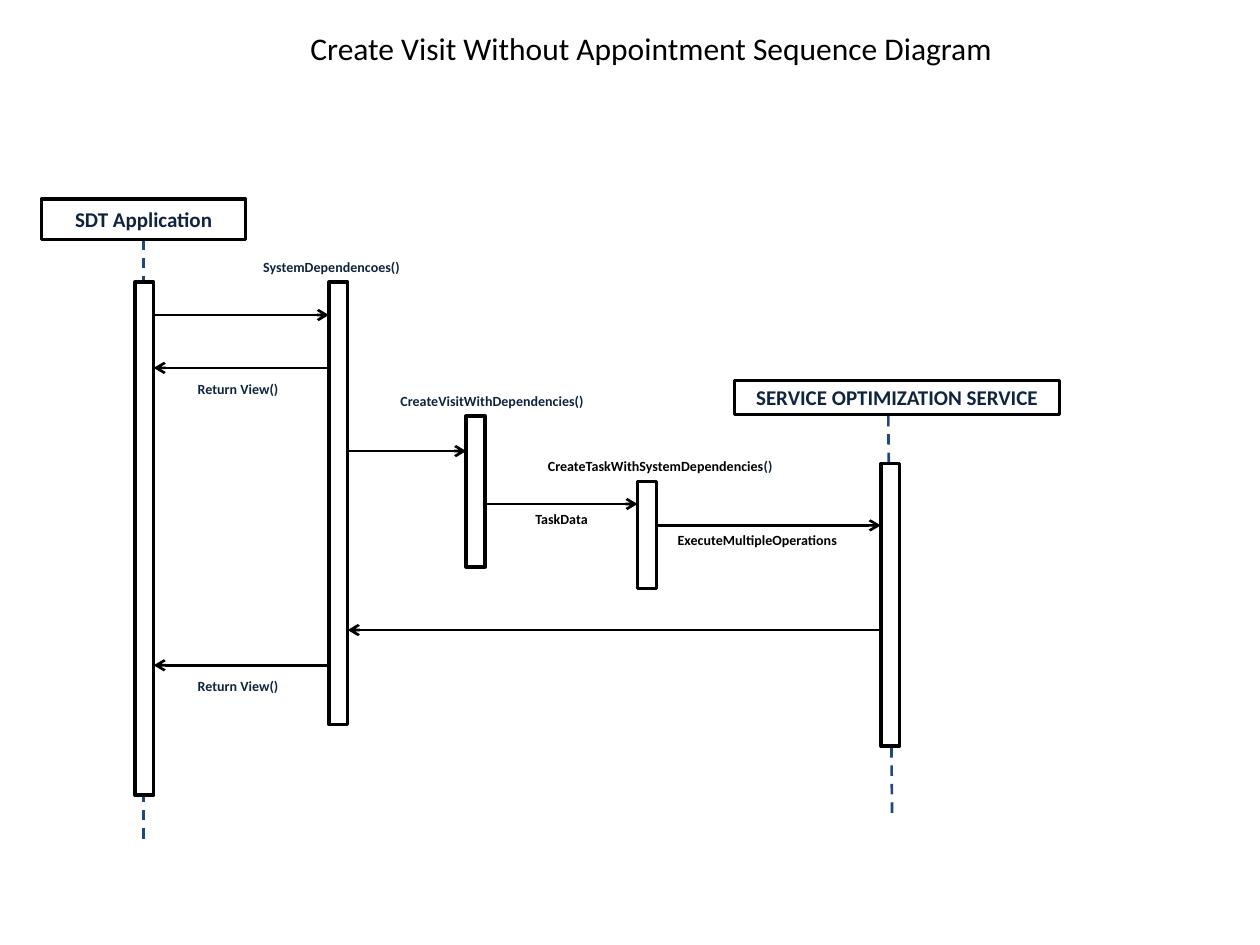
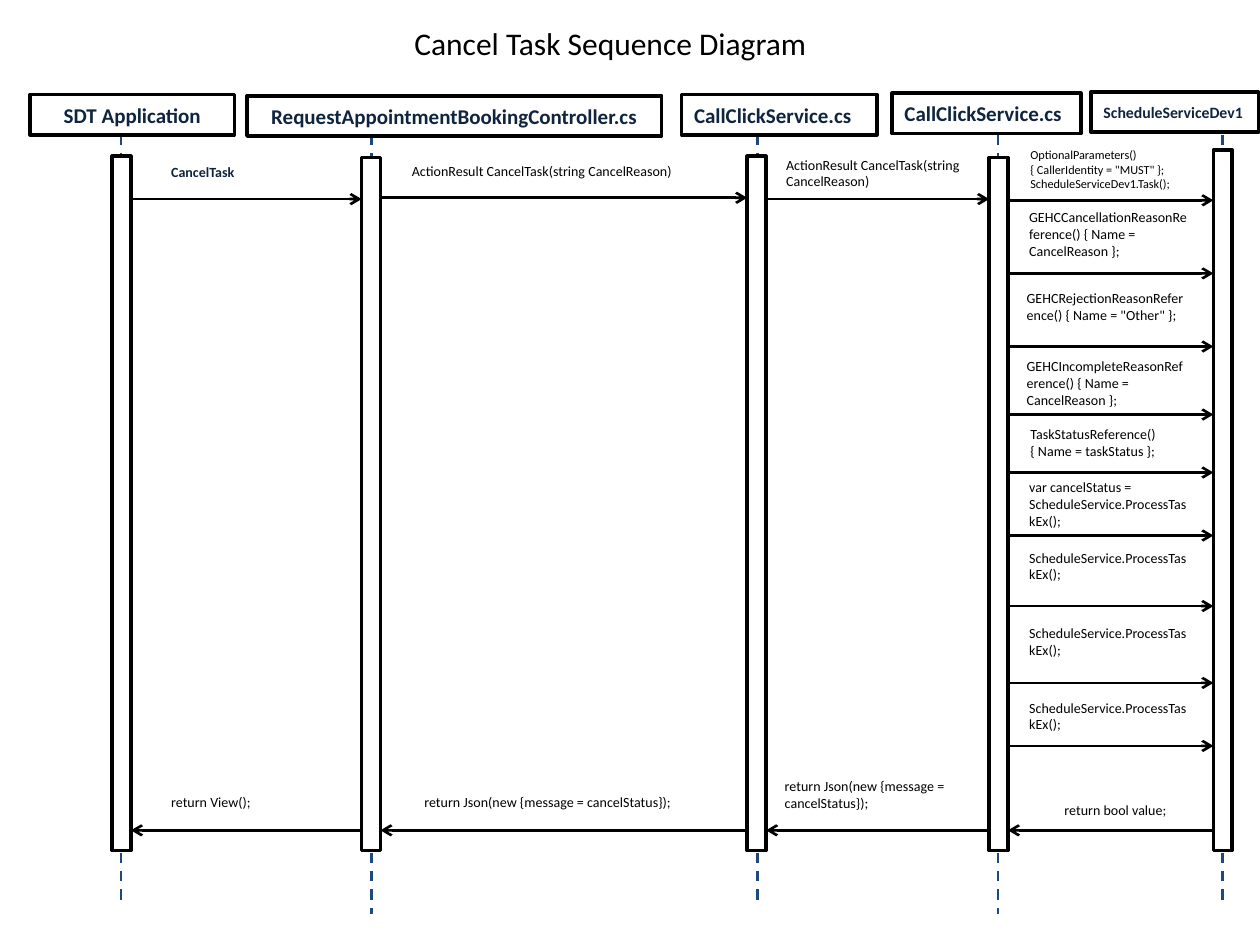
from pptx import Presentation
from pptx.dml.color import RGBColor
from pptx.enum.dml import MSO_LINE
from pptx.enum.shapes import MSO_CONNECTOR, MSO_SHAPE
from pptx.enum.text import MSO_ANCHOR, MSO_AUTO_SIZE, PP_ALIGN
from pptx.oxml.ns import qn
from pptx.util import Inches, Pt
from lxml.etree import SubElement

FONT = "Calibri"
COLORS = {"black": "000000", "white": "FFFFFF", "navy": "0F243E", "lifeline": "1F497D"}
STYLES = {
    "title": (18, "black", False),
    "header": (12, "navy", True),
    "small header": (9, "navy", True),
    "navy call": (8, "navy", True),
    "black call": (8, "black", True),
    "code": (8, "black", False),
    "small code": (7, "black", False),
}
BAR_WIDTH = 0.15
LEFT, CENTER = PP_ALIGN.LEFT, PP_ALIGN.CENTER


def add_run(paragraph, text, style):
    size, color, bold = STYLES[style]
    run = paragraph.add_run()
    run.text = text
    run.font.name = FONT
    run.font.size = Pt(size)
    run.font.bold = bold
    run.font.color.rgb = RGBColor.from_string(COLORS[color])


def add_line(slide, start, end, color):
    line = slide.shapes.add_connector(
        MSO_CONNECTOR.STRAIGHT, *[Inches(value) for value in start + end])
    line.line.color.rgb = RGBColor.from_string(COLORS[color])
    line.line.width = Pt(1.5)
    SubElement(line._element.spPr, qn("a:effectLst"))
    return line


visit = {
    "title": ("Create Visit Without Appointment Sequence Diagram", 2.33, 0.18, 5.68),
    "headers": [
        (0.33, 1.58, 1.62, 0.32, "SDT Application", "header", CENTER),
        (5.83, 3.02, 2.58, 0.27, "SERVICE OPTIMIZATION SERVICE", "header", CENTER),
    ],
    "lifelines": [((1.14, 1.9), (1.14, 6.67)), ((7.05, 3.3), (7.08, 6.47))],
    "bars": [(1.07, 2.24, 4.07), (2.61, 2.24, 3.51), (3.7, 3.3, 1.2),
             (5.06, 3.82, 0.85), (6.99, 3.68, 2.24)],
    "messages": [(0, 1, 2.5), (1, 0, 2.92), (1, 2, 3.58), (2, 3, 4),
                 (3, 4, 4.17), (4, 1, 5), (1, 0, 5.28)],
    "labels": [
        (1.99, 2, 1.4, 0.24, [("SystemDependencoes()", "navy call")]),
        (1.47, 2.97, 0.9, 0.24, [("Return View()", "navy call")]),
        (3.08, 3.07, 1.83, 0.24, [("CreateVisitWithDependencies()", "navy call")]),
        (4.25, 3.58, 2.06, 0.24, [("CreateTaskWithSystemDependencies", "black call"),
                                  ("()", "navy call")]),
        (4.15, 4, 0.64, 0.24, [("TaskData", "black call")]),
        (5.28, 4.17, 1.47, 0.24, [("ExecuteMultipleOperations", "black call")]),
        (1.47, 5.33, 0.9, 0.24, [("Return View()", "navy call")]),
    ],
}

cancel_steps = [1.59, 2.17, 2.75, 3.29, 3.75, 4.25, 4.81, 5.42, 5.92]
cancel = {
    "title": ("Cancel Task Sequence Diagram", 3.17, 0.14, 3.35),
    "headers": [
        (0.24, 0.75, 1.62, 0.32, "SDT Application", "header", CENTER),
        (1.96, 0.76, 3.29, 0.32, "RequestAppointmentBookingController.cs", "header", CENTER),
        (5.41, 0.75, 1.55, 0.32, "CallClickService.cs", "header", LEFT),
        (7.08, 0.74, 1.5, 0.32, "CallClickService.cs", "header", LEFT),
        (8.66, 0.73, 1.33, 0.32, "ScheduleServiceDev1", "small header", LEFT),
    ],
    "lifelines": [((x, 1.07), (x, bottom)) for x, bottom in
                  [(0.96, 7.19), (2.95, 7.25), (6.01, 7.19), (7.92, 7.25), (9.7, 7.19)]],
    "bars": [(0.89, 1.24, 5.51), (2.87, 1.25, 5.5), (5.93, 1.24, 5.51),
             (7.85, 1.25, 5.5), (9.63, 1.19, 5.56)],
    "messages": [(0, 1, 1.58), (1, 2, 1.57), (2, 3, 1.58)]
    + [(3, 4, y) for y in cancel_steps]
    + [(caller + 1, caller, 6.59) for caller in range(4)],
    "labels": [
        (1.26, 1.25, 1.4, 0.24, [("CancelTask", "navy call")]),
        (3.17, 1.24, 2.33, 0.24, [("ActionResult CancelTask(string CancelReason)", "code")]),
        (6.14, 1.19, 1.78, 0.37, [("ActionResult CancelTask(string CancelReason)", "code")]),
        (8.08, 1.12, 1.47, 0.45,
         [('OptionalParameters() { CallerIdentity = "MUST" };', "small code")],
         [("ScheduleServiceDev1.Task();", "small code")]),
        (8.07, 1.61, 1.47, 0.5,
         [("GEHCCancellationReasonReference() { Name = CancelReason };", "code")]),
        (8.05, 2.25, 1.47, 0.37,
         [('GEHCRejectionReasonReference() { Name = "Other" };', "code")]),
        (8.05, 2.79, 1.47, 0.5,
         [("GEHCIncompleteReasonReference() { Name = CancelReason };", "code")]),
        (8.08, 3.33, 1.47, 0.37, [("TaskStatusReference() { Name = taskStatus };", "code")]),
        (8.07, 3.75, 1.47, 0.5,
         [("var cancelStatus = ScheduleService.ProcessTaskEx();", "code")]),
    ]
    + [(8.07, top, 1.47, 0.37, [("ScheduleService.ProcessTaskEx();", "code")])
       for top in (4.31, 4.91, 5.5)]
    + [
        (8.35, 6.31, 1.07, 0.24, [("return bool value;", "code")]),
        (6.13, 6.12, 1.67, 0.37, [("return Json(new {message = cancelStatus});", "code")]),
        (3.27, 6.25, 2.57, 0.24, [("return Json(new {message = cancelStatus});", "code")]),
        (1.26, 6.25, 1.18, 0.24, [("return View();", "code")]),
    ],
}

prs = Presentation()
prs.slide_width = Inches(10)
prs.slide_height = Inches(7.5)

for diagram in (visit, cancel):
    slide = prs.slides.add_slide(prs.slide_layouts[5])

    heading, left, top, width = diagram["title"]
    title = slide.shapes.title
    title.left, title.top = Inches(left), Inches(top)
    title.width, title.height = Inches(width), Inches(0.4)
    title.text_frame.word_wrap = False
    title.text_frame.auto_size = MSO_AUTO_SIZE.SHAPE_TO_FIT_TEXT
    title.text_frame.vertical_anchor = MSO_ANCHOR.TOP
    title.text_frame.paragraphs[0].alignment = CENTER
    add_run(title.text_frame.paragraphs[0], heading, "title")

    boxes = [header[:4] for header in diagram["headers"]]
    bars = [(left, top, BAR_WIDTH, height) for left, top, height in diagram["bars"]]
    lifelines = [add_line(slide, start, end, "lifeline") for start, end in diagram["lifelines"]]
    for line in lifelines:
        line.line.dash_style = MSO_LINE.DASH

    participants = []
    for box in boxes + bars:
        participant = slide.shapes.add_shape(
            MSO_SHAPE.RECTANGLE, *[Inches(value) for value in box])
        participant.shadow.inherit = False
        participant.fill.solid()
        participant.fill.fore_color.rgb = RGBColor.from_string(COLORS["white"])
        participant.line.color.rgb = RGBColor.from_string(COLORS["black"])
        participant.line.width = Pt(2)
        participants.append(participant)

    for participant, (*box, name, style, alignment) in zip(participants, diagram["headers"]):
        paragraph = participant.text_frame.paragraphs[0]
        paragraph.alignment = alignment
        add_run(paragraph, name, style)

    if diagram is visit:
        lifelines[0].begin_connect(participants[0], 2)

    for sender, receiver, y in diagram["messages"]:
        start, end = bars[sender][0], bars[receiver][0]
        if sender < receiver:
            start += BAR_WIDTH
        else:
            end += BAR_WIDTH
        message = add_line(slide, (start, y), (end, y), "black")
        SubElement(message.line._get_or_add_ln(), qn("a:tailEnd"), type="arrow")

    for left, top, width, height, *paragraphs in diagram["labels"]:
        label = slide.shapes.add_textbox(
            Inches(left), Inches(top), Inches(width), Inches(height)).text_frame
        label.word_wrap = True
        label.auto_size = MSO_AUTO_SIZE.SHAPE_TO_FIT_TEXT
        for index, runs in enumerate(paragraphs):
            paragraph = label.add_paragraph() if index else label.paragraphs[0]
            for text, style in runs:
                add_run(paragraph, text, style)

prs.save("out.pptx")
